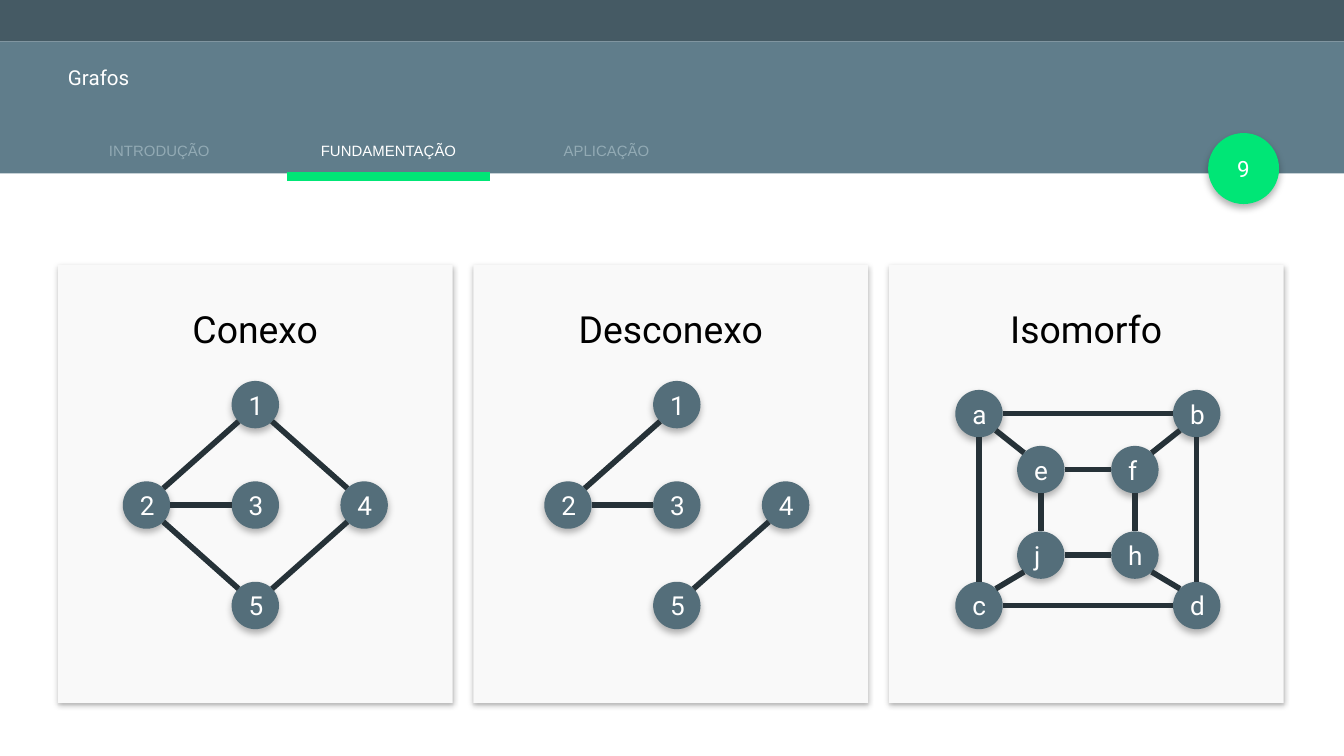
from math import sqrt

from pptx import Presentation
from pptx.dml.color import RGBColor
from pptx.enum.shapes import MSO_CONNECTOR, MSO_SHAPE
from pptx.enum.text import MSO_ANCHOR, PP_ALIGN
from pptx.oxml import parse_xml
from pptx.oxml.ns import nsdecls, qn
from pptx.oxml.xmlchemy import OxmlElement
from pptx.util import Pt

RECT, OVAL, STRAIGHT = MSO_SHAPE.RECTANGLE, MSO_SHAPE.OVAL, MSO_CONNECTOR.STRAIGHT
LEFT, CENTER = PP_ALIGN.LEFT, PP_ALIGN.CENTER
TOP, MIDDLE = MSO_ANCHOR.TOP, MSO_ANCHOR.MIDDLE

THEME = {
    "status_bar": "455A64", "header": "607D8B", "accent": "00E676",
    "tab_idle": "92AAB4", "light": "FFFFFF", "dark": "000000",
    "card": "F9F9F9", "node": "546E7A", "edge": "263238",
    "body_font": "Roboto", "tab_font": "Arial",
    "tab_size": 8, "title_size": 11, "page_size": 12, "node_size": 14, "card_size": 20,
    "edge_width": 3, "marker_width": 4.5,
}

# Content; node positions are (offset from the graph's centre line, height on the slide)
TITLE, PAGE = "Grafos", "9"
TABS = [("INTRODUÇÃO", 31), ("FUNDAMENTAÇÃO", 153.8), ("APLICAÇÃO", 270.6)]
ACTIVE_TAB = "FUNDAMENTAÇÃO"
DIAMOND = {"3": (0, 270.6), "1": (0, 216.8), "5": (0, 324.4),
           "2": (-58.3, 270.6), "4": (58.3, 270.6)}
SQUARES = {"a": (-58.3, 221.6), "b": (58.3, 221.6), "c": (-58.3, 324.4), "d": (58.3, 324.4),
           "e": (-25.2, 251.6), "f": (25.2, 251.6), "j": (-25.2, 297.4), "h": (25.2, 297.4)}
GRAPHS = [
    ("Conexo", 136.8, DIAMOND, ["21", "25", "23", "41", "45"]),
    ("Desconexo", 362.6, DIAMOND, ["21", "23", "45"]),
    ("Isomorfo", 582.8, SQUARES, ["ca", "cd", "ba", "db", "je", "fe",
                                  "hf", "hj", "dh", "ea", "bf", "jc"]),
]

# Layout
SLIDE_W, SLIDE_H = 720, 405
STATUS_H, HEADER_BOTTOM = 22.2, 93
TAB_TOP, TAB_W, TAB_H, MARKER_Y = 72.9, 108.8, 14.7, 94.5
CARD_LEFT, CARD_TOP, CARD_W, CARD_H, CARD_PITCH = 31, 142, 211.5, 234.6, 222.6
CARD_TITLE_INSET, CARD_TITLE_DROP, CARD_TITLE_H = 15, 14.4, 36
NODE_D = 25.4

prs = Presentation()
prs.slide_width, prs.slide_height = Pt(SLIDE_W), Pt(SLIDE_H)
slide = prs.slides.add_slide(prs.slide_layouts[6])


def color(name):
    return RGBColor.from_string(THEME[name])


def write(holder, text, size, ink="light", font="body_font", align=LEFT, anchor=TOP, spacing=None):
    frame = holder.text_frame
    frame.word_wrap = True
    frame.vertical_anchor = anchor
    frame.margin_left = frame.margin_right = Pt(5.4)
    frame.margin_top = frame.margin_bottom = Pt(2.7)
    paragraph = frame.paragraphs[0]
    paragraph.alignment = align
    paragraph.line_spacing = spacing
    run = paragraph.add_run()
    run.text = text
    run.font.name = THEME[font]
    run.font.size = Pt(THEME[size])
    run.font.color.rgb = color(ink)


def add_text(box, text, size, **style):
    write(slide.shapes.add_textbox(*map(Pt, box)), text, size, **style)


def add_block(kind, box, fill, shadow=None):
    """Draw a filled shape without outline; shadow is (blur, distance) straight down."""
    block = slide.shapes.add_shape(kind, *map(Pt, box))
    block.fill.solid()
    block.fill.fore_color.rgb = color(fill)
    block.line.fill.background()
    block.shadow.inherit = False
    if shadow:
        blur, distance = map(Pt, shadow)
        block._element.spPr.find(qn("a:effectLst")).append(parse_xml(
            f'<a:outerShdw {nsdecls("a")} blurRad="{blur}" dist="{distance}" dir="5400000" '
            'algn="t" rotWithShape="0"><a:srgbClr val="000000"><a:alpha val="30000"/>'
            '</a:srgbClr></a:outerShdw>'))
    return block


def add_line(start, end, ink, width):
    line = slide.shapes.add_connector(STRAIGHT, *map(Pt, (*start, *end)))
    line.line.color.rgb = color(ink)
    line.line.width = Pt(THEME[width])
    line._element.spPr.append(OxmlElement("a:effectLst"))


def sign(value):
    return (value > 0) - (value < 0)


def rim_point(center, target):
    """Point on a node's rim towards target, in one of eight directions."""
    dx, dy = (sign(t - c) for c, t in zip(center, target))
    reach = NODE_D / 2 / sqrt(dx * dx + dy * dy)
    return center[0] + dx * reach, center[1] + dy * reach


def add_graph(center_x, positions, edges):
    centers = {label: (center_x + dx, y) for label, (dx, y) in positions.items()}
    for label, (x, y) in centers.items():
        node = add_block(OVAL, (x - NODE_D / 2, y - NODE_D / 2, NODE_D, NODE_D), "node", (4, 2))
        write(node, label, "node_size", anchor=MIDDLE)
    for first, second in edges:
        start, end = centers[first], centers[second]
        add_line(rim_point(start, end), rim_point(end, start), "edge", "edge_width")


add_block(RECT, (0, 0, SLIDE_W, STATUS_H), "status_bar")
add_block(RECT, (0, STATUS_H, SLIDE_W, HEADER_BOTTOM - STATUS_H), "header")
add_block(OVAL, (647.2, 71.3, 38, 38), "accent", (4, 2))

for label, left in TABS:
    active = label == ACTIVE_TAB
    if active:
        add_line((left, MARKER_Y), (left + TAB_W, MARKER_Y), "accent", "marker_width")
    add_text((left, TAB_TOP, TAB_W, TAB_H), label, "tab_size", font="tab_font",
             ink="light" if active else "tab_idle", align=CENTER)

add_text((31, 33.8, 663, 25.2), TITLE, "title_size", spacing=0.9)
add_text((645, 79.4, 42.4, 21.6), PAGE, "page_size", align=CENTER, anchor=MIDDLE)

for column, (name, center_x, positions, edges) in enumerate(GRAPHS):
    left = CARD_LEFT + column * CARD_PITCH
    add_block(RECT, (left, CARD_TOP, CARD_W, CARD_H), "card", (3, 1))
    add_text((left + CARD_TITLE_INSET, CARD_TOP + CARD_TITLE_DROP,
              CARD_W - 2 * CARD_TITLE_INSET, CARD_TITLE_H),
             name, "card_size", ink="dark", align=CENTER, spacing=1.2)
    add_graph(center_x, positions, edges)

prs.save("out.pptx")
